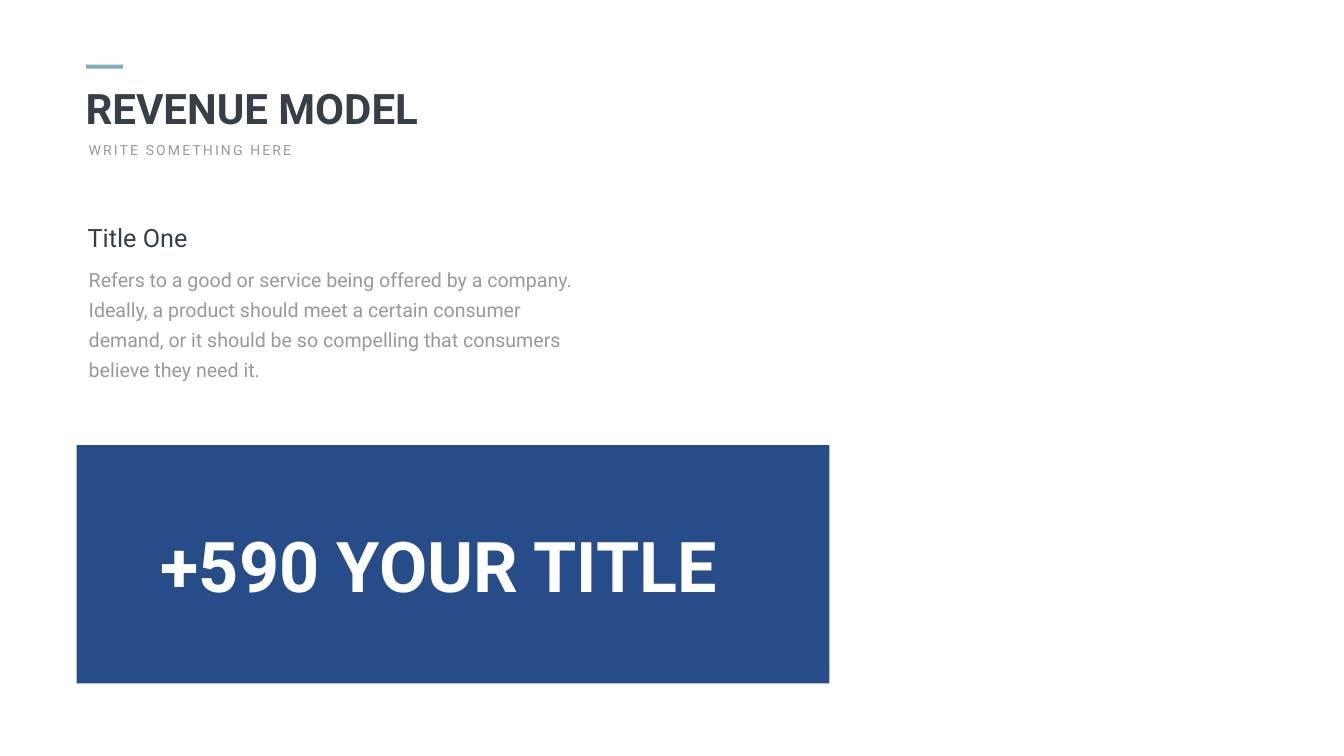
from pptx import Presentation
from pptx.dml.color import RGBColor
from pptx.enum.shapes import MSO_SHAPE
from pptx.enum.text import PP_ALIGN
from pptx.util import Pt

EMU_PER_PX = 9144  # 100 px to the inch
FONT = "Roboto"
DARK, GREY, TEAL, BLUE, WHITE = "363E48", "999999", "84ACB6", "264D89", "FFFFFF"


def px(length):
    return length * EMU_PER_PX


def color(hex_string):
    return RGBColor.from_string(hex_string)


def add_rectangle(slide, left, top, width, height, fill):
    shape = slide.shapes.add_shape(
        MSO_SHAPE.RECTANGLE, px(left), px(top), px(width), px(height))
    shape.shadow.inherit = False
    shape.fill.solid()
    shape.fill.fore_color.rgb = color(fill)
    shape.line.fill.background()


def add_text(slide, text, left, top, width, height, *, size, fill, bold=False,
             align=PP_ALIGN.LEFT, wrap=True, inset=(10, 5), line_spacing=None,
             letter_spacing=None):
    box = slide.shapes.add_textbox(px(left), px(top), px(width), px(height))
    frame = box.text_frame
    frame.word_wrap = wrap
    frame.margin_left = frame.margin_right = px(inset[0])
    frame.margin_top = frame.margin_bottom = px(inset[1])
    paragraph = frame.paragraphs[0]
    paragraph.alignment = align
    if line_spacing:
        paragraph.line_spacing = Pt(line_spacing)
    run = paragraph.add_run()
    run.text = text
    run.font.name = FONT
    run.font.size = Pt(size)
    run.font.bold = bold
    run.font.color.rgb = color(fill)
    if letter_spacing:
        run.font._element.set("spc", str(letter_spacing * 100))


def add_heading(slide, left, top, width):
    # Accent bar, title and subtitle
    add_text(slide, "REVENUE MODEL", left, top + 31, width, 111,
             size=60, fill=DARK, bold=True)
    add_text(slide, "WRITE SOMETHING HERE", left + 6, top + 147, 435, 44,
             size=20, fill=GREY, wrap=False, letter_spacing=3)
    add_rectangle(slide, left + 11, top, 73, 8, TEAL)


def add_description(slide, left, top, width):
    # Small title above a body paragraph
    add_text(slide,
             "Refers to a good or service being offered by a company. "
             "Ideally, a product should meet a certain consumer demand, "
             "or it should be so compelling that consumers believe they need it.",
             left, top + 70, width, 260,
             size=28, fill=GREY, inset=(24, 12), line_spacing=43)
    add_text(slide, "Title One", left + 12, top, 541, 71, size=36, fill=DARK)


def add_banner(slide, left, top, width, height):
    # Blue panel with one large figure
    add_rectangle(slide, left, top, width, height, BLUE)
    add_text(slide, "+590 YOUR TITLE", left + 149, top + 148, 1139, 178,
             size=100, fill=WHITE, bold=True, align=PP_ALIGN.CENTER, wrap=False)


def main():
    presentation = Presentation()
    presentation.slide_width = px(2666)
    presentation.slide_height = px(1500)
    slide = presentation.slides.add_slide(presentation.slide_layouts[6])
    slide.background.fill.solid()
    slide.background.fill.fore_color.rgb = color(WHITE)

    add_heading(slide, 160, 128, 1031)
    add_description(slide, 152, 436, 1031)
    add_banner(slide, 152, 883, 1493, 473)
    presentation.save("out.pptx")


if __name__ == "__main__":
    main()
